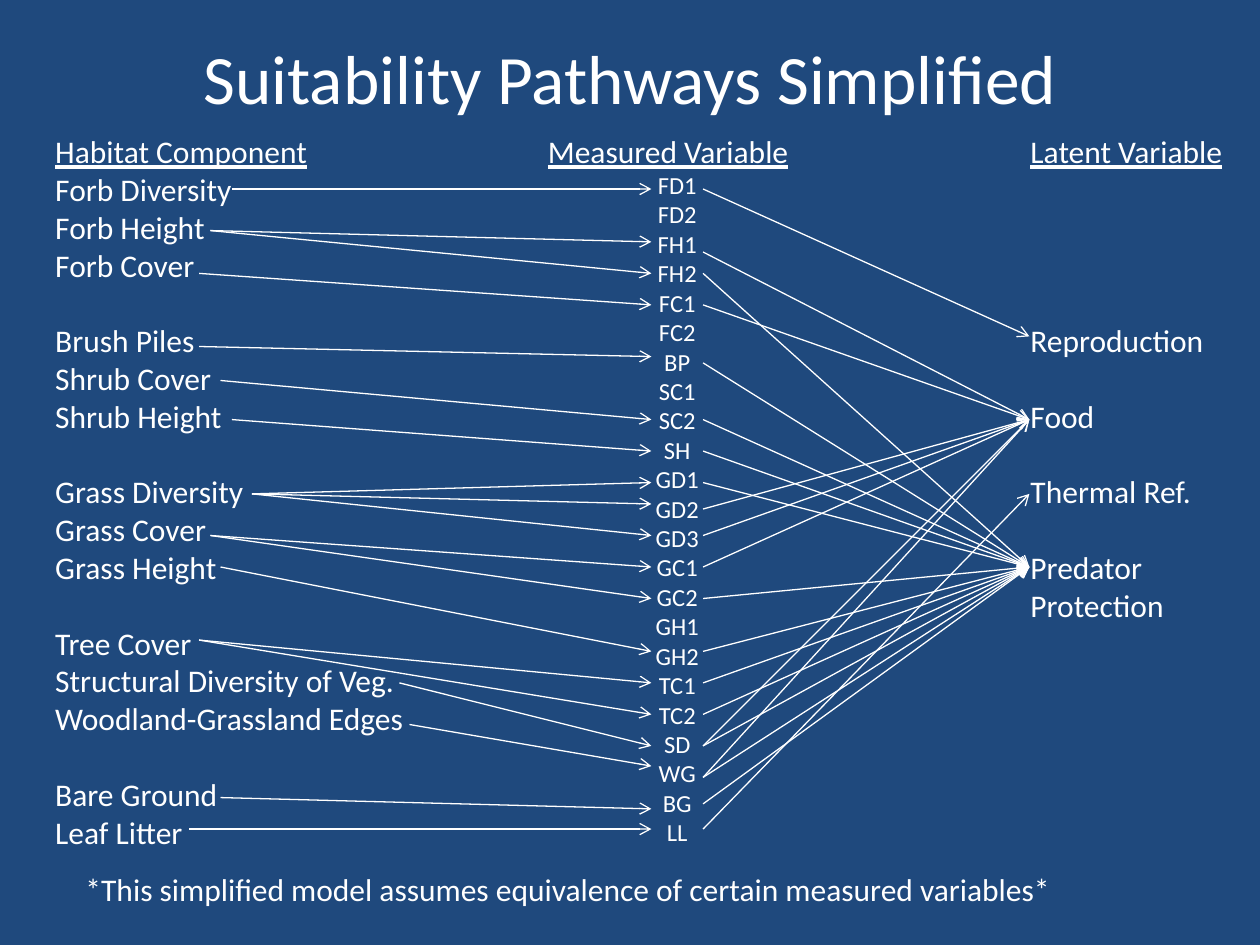
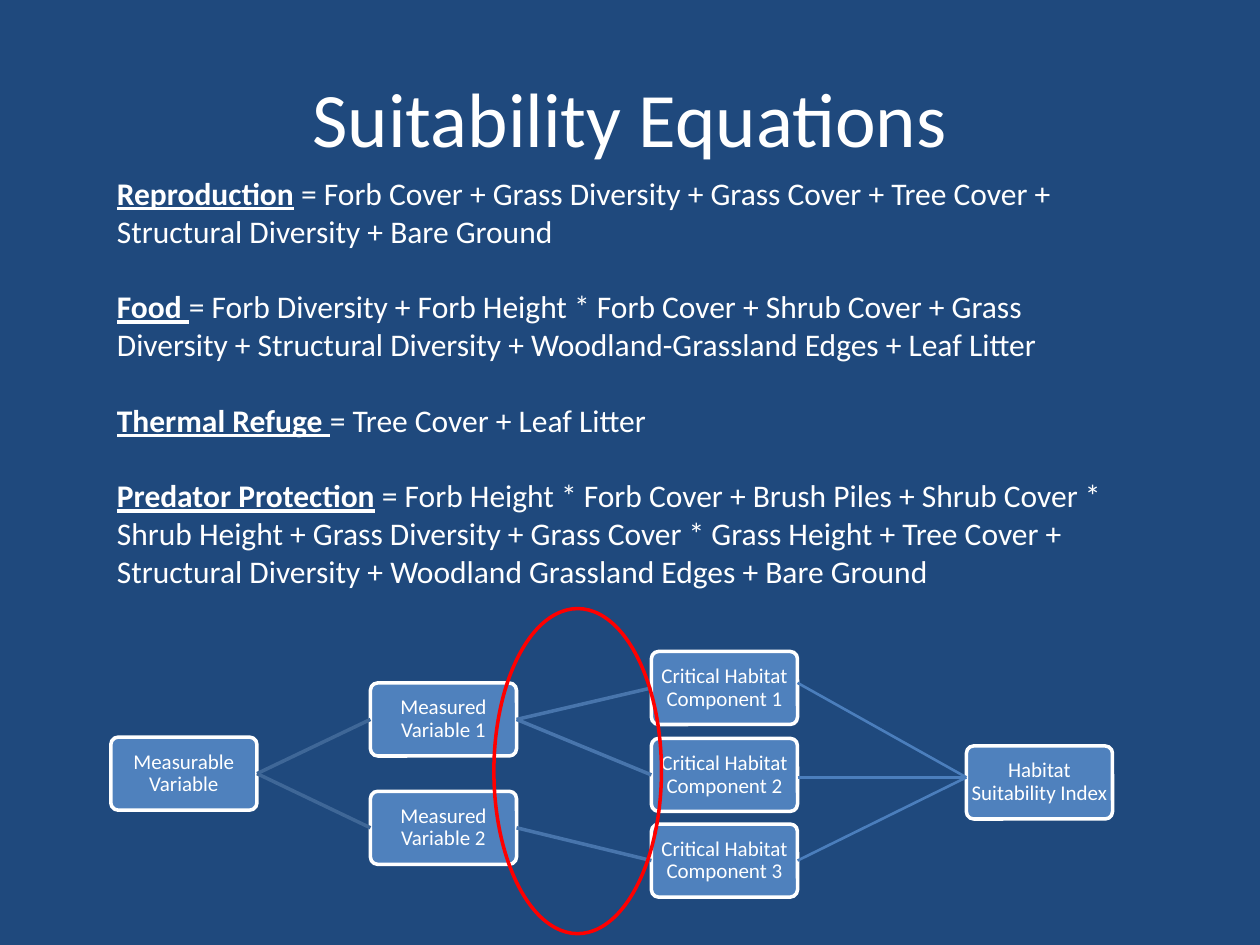
from dataclasses import dataclass

from lxml import etree
from pptx import Presentation
from pptx.dml.color import RGBColor
from pptx.enum.shapes import MSO_CONNECTOR, MSO_SHAPE
from pptx.enum.text import MSO_ANCHOR, MSO_AUTO_SIZE, PP_ALIGN
from pptx.oxml.ns import qn
from pptx.util import Inches, Pt


@dataclass(frozen=True)
class Theme:
    """Colours, font and type sizes of the deck."""
    background: str = "1F497D"
    ink: str = "FFFFFF"
    box: str = "4F81BD"
    first_link: str = "3F6797"
    second_link: str = "4875AC"
    index_link: str = "4B7EBC"
    highlight: str = "FF0000"
    font: str = "Calibri"
    title: float = 44
    long_title: float = 39.6
    body: float = 18
    code: float = 14
    label: float = 12
    line_pitch: float = 1.2  # line height as a multiple of the type size


class Deck:
    """Holds the presentation, its theme and the current slide."""

    def __init__(self, theme):
        """Start an empty 10 by 7.5 inch presentation."""
        self.theme = theme
        self.presentation = Presentation()
        self.presentation.slide_width = Inches(10)
        self.presentation.slide_height = Inches(7.5)
        self.slide = None

    def new_slide(self):
        """Add a blank slide on the deck's background colour."""
        self.slide = self.presentation.slides.add_slide(self.presentation.slide_layouts[6])
        fill = self.slide.background.fill
        fill.solid()
        fill.fore_color.rgb = RGBColor.from_string(self.theme.background)

    def run(self, paragraph, words, size, bold=False, underline=False):
        """Append one styled run to a paragraph."""
        run = paragraph.add_run()
        run.text = words
        font = run.font
        font.name, font.size = self.theme.font, Pt(size)
        font.bold, font.underline = bold, underline
        font.color.rgb = RGBColor.from_string(self.theme.ink)

    def text_frame(self, left, top, width, height):
        """Add a wrapping text box and return its frame."""
        frame = self.slide.shapes.add_textbox(
            Inches(left), Inches(top), Inches(width), Inches(height)).text_frame
        frame.word_wrap = True
        frame.auto_size = MSO_AUTO_SIZE.SHAPE_TO_FIT_TEXT
        return frame

    def title(self, words, height, size):
        """Add the centred slide title."""
        frame = self.text_frame(0.5, 0.3, 9, height)
        frame.auto_size = MSO_AUTO_SIZE.NONE
        frame.vertical_anchor = MSO_ANCHOR.MIDDLE
        frame.paragraphs[0].alignment = PP_ALIGN.CENTER
        self.run(frame.paragraphs[0], words, size)

    def lines_before(self, paragraph, count):
        """Leave the height of some body lines above a paragraph."""
        paragraph.space_before = Pt(count * self.theme.body * self.theme.line_pitch)

    def column(self, place, heading, groups, size, align=PP_ALIGN.LEFT, first_gap=0):
        """Add an underlined heading over groups set one body line apart."""
        frame = self.text_frame(*place)
        self.run(frame.paragraphs[0], heading, self.theme.body, underline=True)
        for group_number, group in enumerate(groups):
            for row, entry in enumerate(group):
                paragraph = frame.add_paragraph()
                paragraph.alignment = align
                if row == 0:
                    self.lines_before(paragraph, 1 if group_number else first_gap)
                self.run(paragraph, entry, size)

    def equations(self, place, equations):
        """Add equations, each with its result in bold and underlined."""
        frame = self.text_frame(*place)
        for number, (result, terms) in enumerate(equations):
            paragraph = frame.add_paragraph() if number else frame.paragraphs[0]
            self.lines_before(paragraph, min(number, 1))
            self.run(paragraph, result, self.theme.body, bold=True, underline=True)
            self.run(paragraph, terms, self.theme.body)

    def note(self, place, words):
        """Add a line of plain body text."""
        self.run(self.text_frame(*place).paragraphs[0], words, self.theme.body)

    def link(self, start, end, color, weight, arrow=False):
        """Draw a straight line, with an open arrowhead if asked."""
        x1, y1, x2, y2 = (Inches(value) for value in (*start, *end))
        connector = self.slide.shapes.add_connector(MSO_CONNECTOR.STRAIGHT, x1, y1, x2, y2)
        connector.line.color.rgb = RGBColor.from_string(color)
        connector.line.width = Pt(weight)
        if arrow:
            etree.SubElement(connector.line._get_or_add_ln(), qn("a:tailEnd"), type="arrow")
        etree.SubElement(connector._element.spPr, qn("a:effectLst"))

    def outline(self, kind, place, color):
        """Add an unfilled preset shape with a 2 point outline."""
        shape = self.slide.shapes.add_shape(kind, *(Inches(value) for value in place))
        shape.shadow.inherit = False
        shape.fill.background()
        shape.line.color.rgb = RGBColor.from_string(color)
        shape.line.width = Pt(2)
        return shape

    def box(self, place, words):
        """Add a filled rounded box with a centred label."""
        box = self.outline(MSO_SHAPE.ROUNDED_RECTANGLE, place, self.theme.ink)
        box.adjustments[0] = 0.1
        box.fill.solid()
        box.fill.fore_color.rgb = RGBColor.from_string(self.theme.box)
        frame = box.text_frame
        frame.word_wrap = True
        frame.vertical_anchor = MSO_ANCHOR.MIDDLE
        frame.margin_left = frame.margin_right = Inches(0.01)
        frame.margin_top = frame.margin_bottom = Inches(0.01)
        paragraph = frame.paragraphs[0]
        paragraph.alignment = PP_ALIGN.CENTER
        paragraph.line_spacing = 0.9
        self.run(paragraph, words, self.theme.label)


HABITAT_COMPONENTS = [
    ["Forb Diversity", "Forb Height", "Forb Cover"],
    ["Brush Piles", "Shrub Cover", "Shrub Height"],
    ["Grass Diversity", "Grass Cover", "Grass Height"],
    ["Tree Cover", "Structural Diversity of Veg.", "Woodland-Grassland Edges"],
    ["Bare Ground", "Leaf Litter"],
]
MEASURED_VARIABLES = ("FD1 FD2 FH1 FH2 FC1 FC2 BP SC1 SC2 SH GD1 GD2 GD3 "
                      "GC1 GC2 GH1 GH2 TC1 TC2 SD WG BG LL").split()
LATENT_VARIABLES = [["Reproduction"], ["Food"], ["Thermal Ref."], ["Predator Protection"]]

# Start of each component's arrows, then the heights they reach
COMPONENT_ARROWS = {
    (1.84, 1.5): [1.5],
    (1.67, 1.83): [1.92, 2.17],
    (1.58, 2.17): [2.42],
    (1.58, 2.75): [2.83],
    (1.75, 3.02): [3.33],
    (1.84, 3.33): [3.58],
    (2, 3.92): [3.83, 4, 4.25],
    (1.67, 4.25): [4.5, 4.75],
    (1.75, 4.5): [5.17],
    (1.58, 5.08): [5.42, 5.67],
    (3.17, 5.42): [5.92],
    (3.25, 5.75): [6.08],
    (1.75, 6.33): [6.42],
    (1.5, 6.58): [6.58],
}
# Height of each latent variable, then the heights its arrows start from
LATENT_ARROWS = {
    2.67: [1.5],
    3.33: [2, 2.42, 4.04, 4.25, 4.5, 5.92, 6.17],
    3.92: [6.58],
    4.5: [2.17, 2.88, 3.33, 3.58, 3.83, 4.75, 5.17, 5.42, 5.67, 5.92, 6.17, 6.38],
}
EQUATIONS = [
    ("Reproduction", " = Forb Cover + Grass Diversity + Grass Cover + Tree Cover + "
     "Structural Diversity + Bare Ground"),
    ("Food ", "= Forb Diversity + Forb Height * Forb Cover + Shrub Cover + Grass Diversity + "
     "Structural Diversity + Woodland-Grassland Edges + Leaf Litter"),
    ("Thermal Refuge ", "= Tree Cover + Leaf Litter"),
    ("Predator Protection", " = Forb Height * Forb Cover + Brush Piles + Shrub Cover * "
     "Shrub Height + Grass Diversity + Grass Cover * Grass Height + Tree Cover + "
     "Structural Diversity + Woodland Grassland Edges + Bare Ground"),
]


def pathways_slide(deck):
    """Build the map from habitat components to latent variables."""
    theme = deck.theme
    deck.new_slide()
    deck.title("Suitability Pathways Simplified", 0.62, theme.long_title)
    deck.column((0.34, 1, 3, 5.86), "Habitat Component", HABITAT_COMPONENTS, theme.body)
    deck.column((8.08, 1, 1.75, 4.04), "Latent Variable", LATENT_VARIABLES, theme.body,
                first_gap=4)
    deck.column((4.25, 1, 2.25, 5.82), "Measured Variable", [MEASURED_VARIABLES], theme.code,
                PP_ALIGN.CENTER)
    arrows = [(start, (5.17, y)) for start, ends in COMPONENT_ARROWS.items() for y in ends]
    arrows += [((5.58, y), (8.17, end)) for end, starts in LATENT_ARROWS.items() for y in starts]
    for start, end in arrows:
        deck.link(start, end, theme.ink, 0.75, arrow=True)
    deck.note((0.58, 6.86, 9.08, 0.4),
              "*This simplified model assumes equivalence of certain measured variables*")


def equations_slide(deck):
    """Build the equations and the index tree below them."""
    theme = deck.theme
    deck.new_slide()
    deck.title("Suitability Equations", 1.25, theme.title)
    deck.equations((0.83, 1.33, 8.17, 3.74), EQUATIONS)

    box_width, box_height = 1.16, 0.58
    measurable, measured, critical, index = 0.88, 2.94, 5.17, 7.67
    measured_tops, critical_tops = (5.42, 6.28), (5.17, 5.86, 6.54)
    boxes = [(measurable, 5.85, "Measurable Variable"),
             (index, 5.92, "Habitat Suitability Index")]
    boxes += [(measured, top, f"Measured Variable {number}")
              for number, top in enumerate(measured_tops, 1)]
    boxes += [(critical, top, f"Critical Habitat Component {number}")
              for number, top in enumerate(critical_tops, 1)]
    for left, top, words in boxes:
        deck.box((left, top, box_width, box_height), words)

    half = box_height / 2
    for top in measured_tops:
        deck.link((measurable + box_width, 5.85 + half), (measured, top + half),
                  theme.first_link, 2)
    for source, target in ((0, 0), (0, 1), (1, 2)):
        deck.link((measured + box_width, measured_tops[source] + half),
                  (critical, critical_tops[target] + half), theme.second_link, 2)
    for y in (5.42, 6.17, 6.83):
        deck.link((critical + box_width, y), (index, 6.17), theme.index_link, 1.5)
    deck.outline(MSO_SHAPE.OVAL, (3.92, 4.83, 1.33, 2.58), theme.highlight)


deck = Deck(Theme())
pathways_slide(deck)
equations_slide(deck)
deck.presentation.save("out.pptx")
